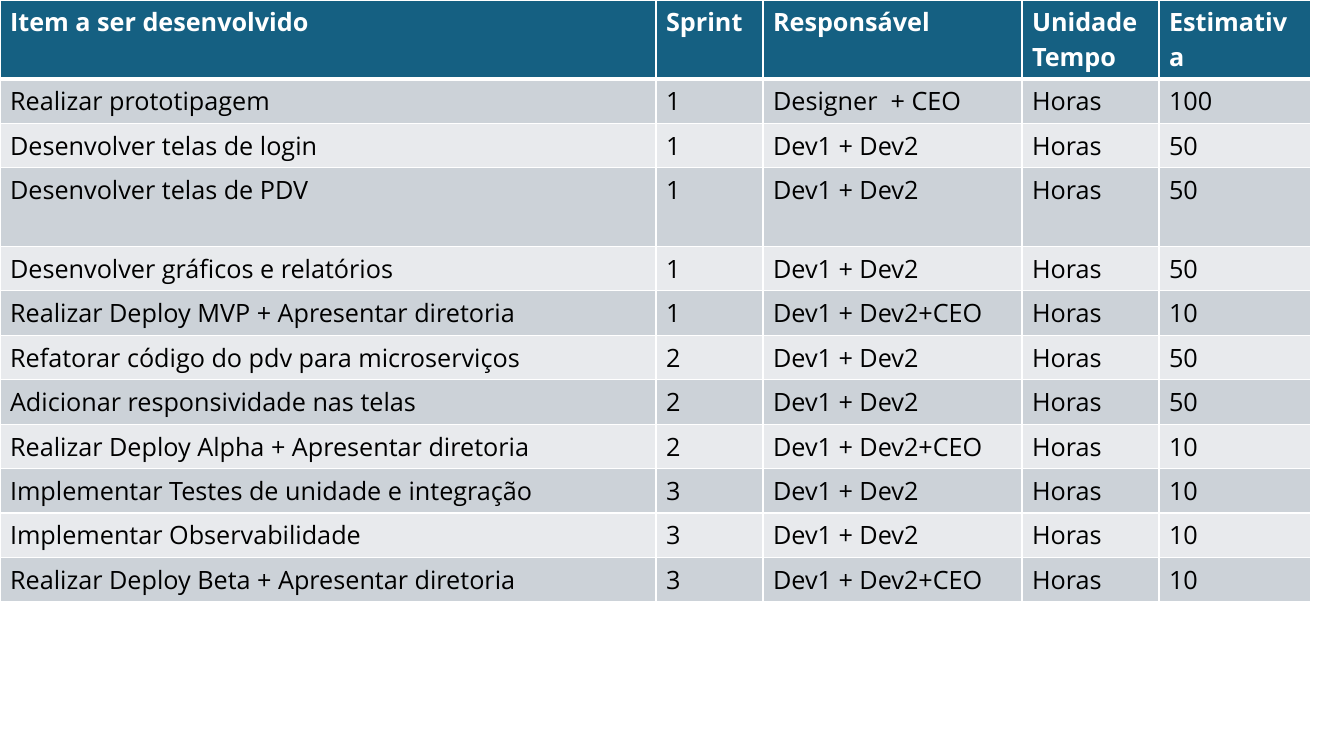
import pptx
import pptx.dml.color
import pptx.oxml
import pptx.oxml.ns
import pptx.util

PX = 914400 / 100.8  # EMU per pixel


def px(length):
    return pptx.util.Emu(round(length * PX))


def add_border(cell, side, points):
    width = pptx.util.Pt(points)
    cell._tc.get_or_add_tcPr().append(pptx.oxml.parse_xml(
        f'<a:{side} {pptx.oxml.ns.nsdecls("a")} w="{width}"><a:solidFill>'
        f'<a:srgbClr val="{COLORS["border"]}"/></a:solidFill></a:{side}>'))


COLORS = {
    "header": "156082",
    "odd": "CCD2D8",
    "even": "E8EAED",
    "border": "FFFFFF",
    "header_text": "FFFFFF",
    "body_text": "000000",
}
FONT = {"name": "Open Sans", "size": pptx.util.Pt(18)}

HEADERS = ["Item a ser desenvolvido", "Sprint", "Responsável", "Unidade Tempo", "Estimativa"]
UNIT = "Horas"
TASKS = [
    ("Realizar prototipagem", 1, "Designer  + CEO", 100),
    ("Desenvolver telas de login", 1, "Dev1 + Dev2", 50),
    ("Desenvolver telas de PDV", 1, "Dev1 + Dev2", 50),
    ("Desenvolver gráficos e relatórios", 1, "Dev1 + Dev2", 50),
    ("Realizar Deploy MVP + Apresentar diretoria", 1, "Dev1 + Dev2+CEO", 10),
    ("Refatorar código do pdv para microserviços", 2, "Dev1 + Dev2", 50),
    ("Adicionar responsividade nas telas", 2, "Dev1 + Dev2", 50),
    ("Realizar Deploy Alpha + Apresentar diretoria", 2, "Dev1 + Dev2+CEO", 10),
    ("Implementar Testes de unidade e integração", 3, "Dev1 + Dev2", 10),
    ("Implementar Observabilidade", 3, "Dev1 + Dev2", 10),
    ("Realizar Deploy Beta + Apresentar diretoria", 3, "Dev1 + Dev2+CEO", 10),
]
rows = [HEADERS] + [
    [item, str(sprint), owner, UNIT, str(estimate)]
    for item, sprint, owner, estimate in TASKS
]

# Column widths and row heights: the header and the PDV row are two lines tall
column_widths = [656, 107, 259, 137, 152]
row_heights = [44] * len(rows)
row_heights[0] = 78
row_heights[3] = 79

# Slide
presentation = pptx.Presentation()
presentation.slide_width = px(1344)
presentation.slide_height = px(756)
slide = presentation.slides.add_slide(presentation.slide_layouts[6])

# Table
table = slide.shapes.add_table(
    len(rows), len(HEADERS), px(0), px(0), px(sum(column_widths)), px(sum(row_heights))).table
table.first_row = True
table.horz_banding = False
for column, width in zip(table.columns, column_widths):
    column.width = px(width)
for row, height in zip(table.rows, row_heights):
    row.height = px(height)

# Cells
for row_index, texts in enumerate(rows):
    is_header = row_index == 0
    band = "header" if is_header else "odd" if row_index % 2 else "even"
    text_color = COLORS["header_text" if is_header else "body_text"]
    borders = {
        "lnL": 1,
        "lnR": 1,
        "lnT": 3 if row_index == 1 else 1,
        "lnB": 3 if is_header else 1,
    }
    for column_index, text in enumerate(texts):
        cell = table.cell(row_index, column_index)
        for side, points in borders.items():
            add_border(cell, side, points)
        cell.fill.solid()
        cell.fill.fore_color.rgb = pptx.dml.color.RGBColor.from_string(COLORS[band])
        cell.text = text
        font = cell.text_frame.paragraphs[0].runs[0].font
        for attribute, value in {**FONT, "bold": is_header}.items():
            setattr(font, attribute, value)
        font.color.rgb = pptx.dml.color.RGBColor.from_string(text_color)

presentation.save("out.pptx")
